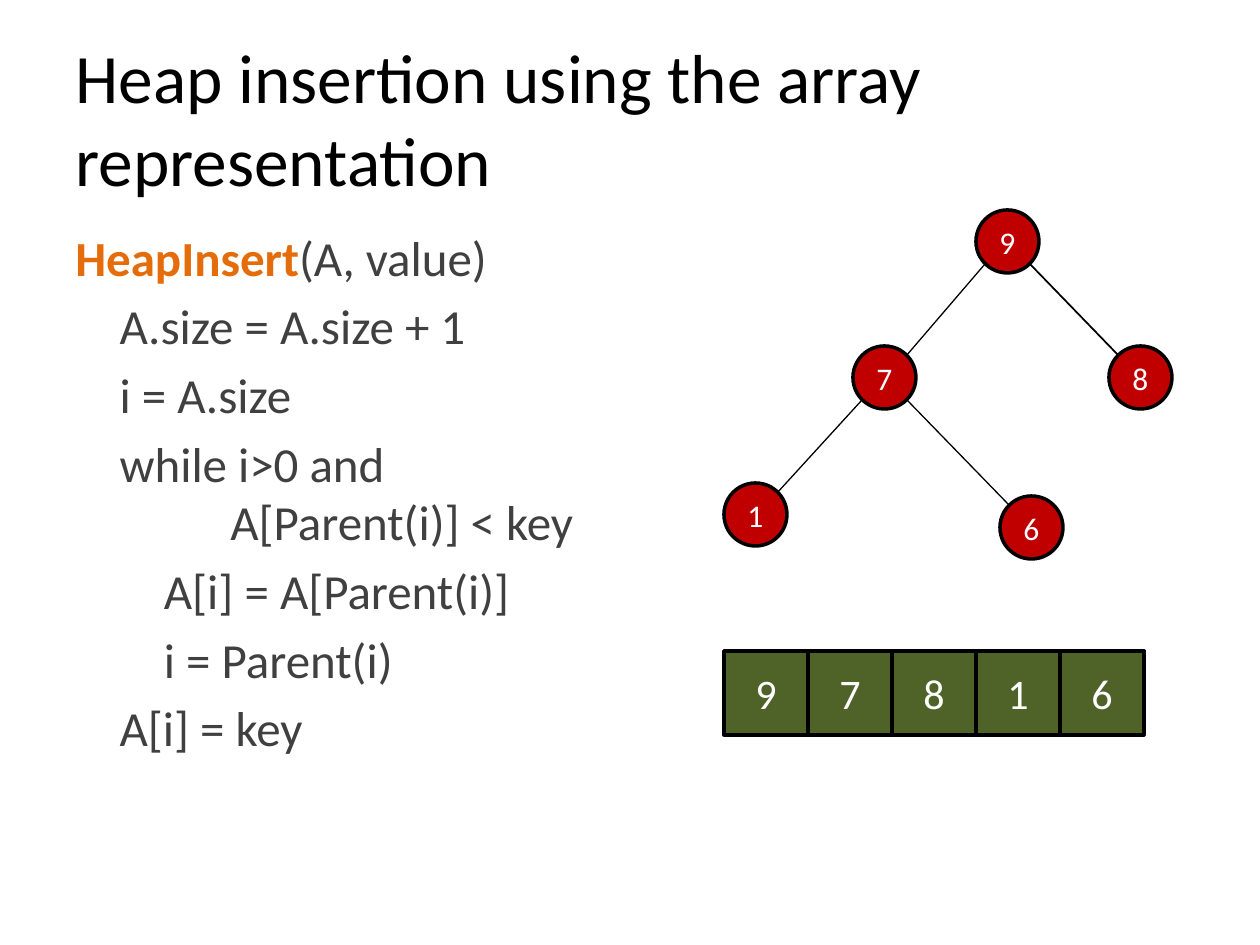
from math import sqrt
from pptx import Presentation
from pptx.dml.color import RGBColor
from pptx.enum.shapes import MSO_CONNECTOR, MSO_SHAPE
from pptx.enum.text import MSO_ANCHOR, MSO_AUTO_SIZE, PP_ALIGN
from pptx.oxml.ns import qn
from pptx.util import Pt
from lxml.etree import SubElement

# Content
TITLE = "Heap insertion using the array representation"
HEAD = ("HeapInsert", "(A, value)")
CODE = [
    "    A.size = A.size + 1",
    "    i = A.size",
    "    while i>0 and\v              A[Parent(i)] < key",
    "        A[i] = A[Parent(i)]",
    "        i = Parent(i)",
    "    A[i] = key",
]
NODES = {  # value: left, top in px
    "9": (976, 210),
    "7": (853, 346),
    "8": (1109, 346),
    "1": (724, 483),
    "6": (1000, 496),
}
EDGES = [("9", "7", 0.75), ("9", "8", 1), ("7", "1", 0.75), ("7", "6", 0.75)]
ARRAY = ["9", "7", "8", "1", "6"]

# Style and measures
FONT = "Calibri"
COLORS = {"title": "000000", "line": "000000", "name": "E46C0A", "code": "404040",
          "node": "C00000", "cell": "4F6228", "value": "FFFFFF"}
SCALE = 914400 / 126
NODE, CELL = 63, 84
ROW = (724, 651)


def px(n):
    return round(n * SCALE)


def color(name):
    return RGBColor.from_string(COLORS[name])


def style(run, size, name, bold=False):
    font = run.font
    font.name, font.size, font.bold = FONT, Pt(size), bold
    font.color.rgb = color(name)


def place(shape, *box):
    shape.left, shape.top, shape.width, shape.height = map(px, box)


def add_box(kind, text, x, y, side, fill, size):
    box = slide.shapes.add_shape(kind, px(x), px(y), px(side), px(side))
    box.shadow.inherit = False
    box.fill.solid()
    box.fill.fore_color.rgb = color(fill)
    box.line.color.rgb = color("line")
    box.line.width = Pt(2)
    frame = box.text_frame
    frame.text = text
    frame.vertical_anchor = MSO_ANCHOR.MIDDLE
    para = frame.paragraphs[0]
    para.alignment = PP_ALIGN.CENTER
    style(para.runs[0], size, "value")


def add_edge(top, low, width):
    (x1, y1), (x2, y2) = NODES[top], NODES[low]
    mid, off = NODE / 2, NODE / 2 / sqrt(2)
    side = off if x2 > x1 else -off
    ends = (x1 + mid + side, y1 + mid + off, x2 + mid - side, y2 + mid - off)
    edge = slide.shapes.add_connector(MSO_CONNECTOR.STRAIGHT, *map(px, ends))
    edge.line.color.rgb = color("line")
    edge.line.width = Pt(width)
    SubElement(edge._element.spPr, qn("a:effectLst"))


deck = Presentation()
deck.slide_width, deck.slide_height = px(1260), px(945)
slide = deck.slides.add_slide(deck.slide_layouts[5])

# Title
title = slide.shapes.title
place(title, 63, 38, 1134, 158)
frame = title.text_frame
frame.text = TITLE
frame.word_wrap = True
frame.auto_size = MSO_AUTO_SIZE.NONE
frame.vertical_anchor = MSO_ANCHOR.MIDDLE
frame.paragraphs[0].alignment = PP_ALIGN.LEFT
style(frame.paragraphs[0].runs[0], 39.6, "title")

# Pseudocode
body = slide.shapes.add_textbox(0, 0, 0, 0)
place(body, 63, 221, 620, 577)
frame = body.text_frame
frame.word_wrap = True
for text, name in zip(HEAD, ("name", "code")):
    run = frame.paragraphs[0].add_run()
    run.text = text
    style(run, 28, name, name == "name")
for line in CODE:
    para = frame.add_paragraph()
    para.text = line
    para.space_before = Pt(5.6)
    for run in para.runs:
        style(run, 28, "code")

# Heap tree
for edge in EDGES:
    add_edge(*edge)
for value, (x, y) in NODES.items():
    add_box(MSO_SHAPE.OVAL, value, x, y, NODE, "node", 18)

# Heap array
for i, value in enumerate(ARRAY):
    add_box(MSO_SHAPE.RECTANGLE, value, ROW[0] + i * CELL, ROW[1], CELL, "cell", 24)

deck.save("out.pptx")
